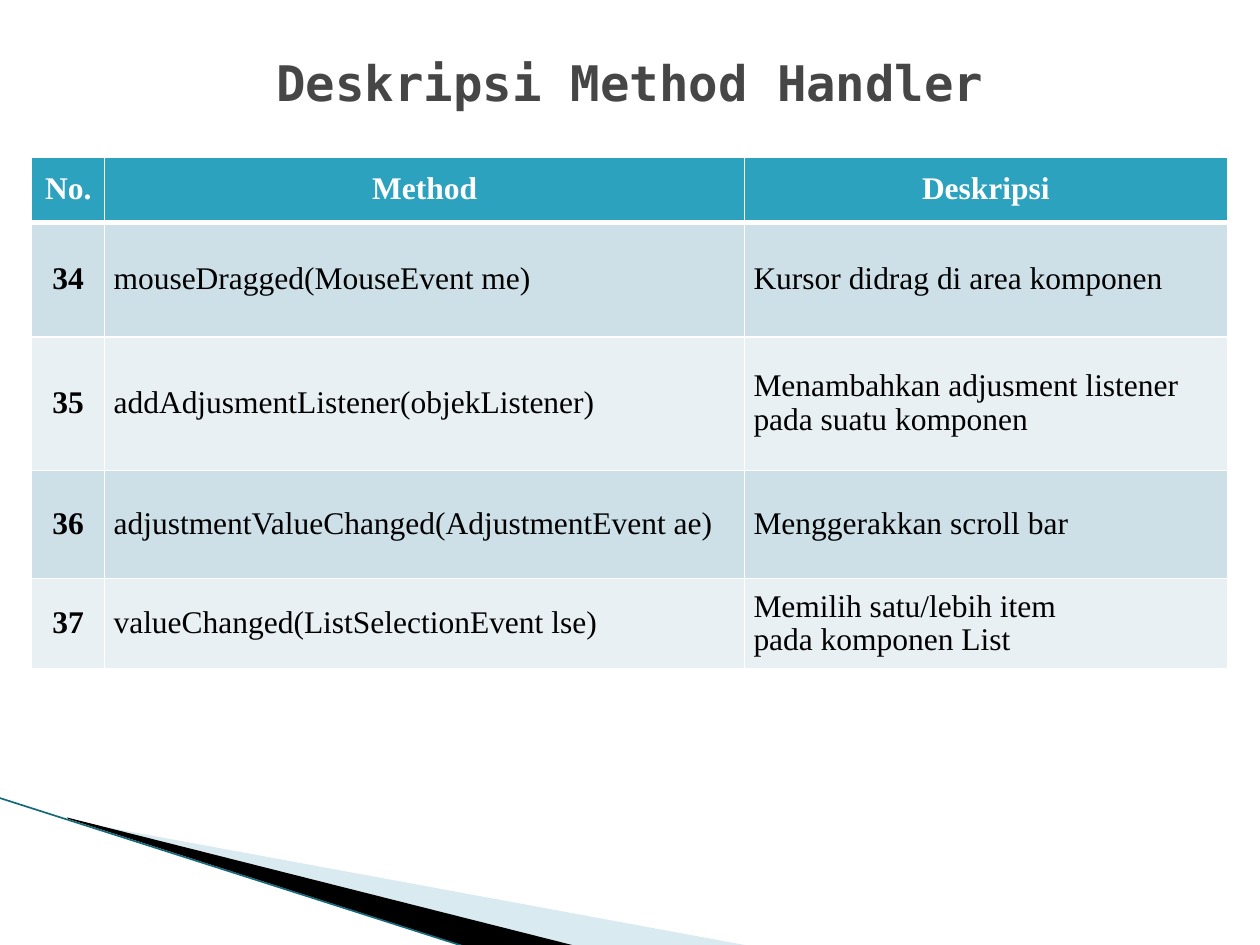
from pptx import Presentation
from pptx.dml.color import RGBColor
from pptx.enum import shapes, text
from pptx.oxml import parse_xml
from pptx.oxml.ns import nsdecls, qn
from pptx.util import Cm, Pt

WHITE = RGBColor(0xFF, 0xFF, 0xFF)
BLACK = RGBColor(0, 0, 0)
GREY = RGBColor(0x46, 0x46, 0x46)
TEAL = RGBColor(0x2D, 0xA2, 0xBF)
DARK_TEAL = RGBColor(0x16, 0x69, 0x7A)
PALE_BLUE = RGBColor(0xA0, 0xCB, 0xDC)
BANDS = (RGBColor(0xCD, 0xE0, 0xE8), RGBColor(0xE8, 0xF0, 0xF4))

TITLE_FONT = "DejaVu Sans Mono"
BODY_FONT = "Times New Roman"

COLUMNS = (1.47, 12.9, 9.73)
ROWS = (1.3, 2.31, 2.69, 2.18, 1.83)
METHODS = (
    ("No.", "Method", "Deskripsi"),
    ("34", "mouseDragged(MouseEvent me)", "Kursor didrag di area komponen"),
    ("35", "addAdjusmentListener(objekListener)",
     "Menambahkan adjusment listener pada suatu komponen"),
    ("36", "adjustmentValueChanged(AdjustmentEvent ae)", "Menggerakkan scroll bar"),
    ("37", "valueChanged(ListSelectionEvent lse)",
     "Memilih satu/lebih item\npada komponen List"),
)


def add_span(para, words, font, size, colour, bold):
    span = para.add_run()
    span.text = words
    span.font.name = font
    span.font.size = Pt(size)
    span.font.color.rgb = colour
    span.font.bold = bold


def add_wedge(page, left, top, points, colour, opacity=100):
    """Filled outline; points are in cm from the left top corner."""
    corners = [(Cm(left + x), Cm(top + y)) for x, y in points]
    builder = page.shapes.build_freeform(*corners[0], scale=1.0)
    builder.add_line_segments(corners[1:], close=True)
    wedge = builder.convert_to_shape()
    wedge.shadow.inherit = False
    wedge.fill.solid()
    wedge.fill.fore_color.rgb = colour
    wedge.line.fill.background()
    if opacity < 100:
        shade = wedge.fill._xPr.find(".//" + qn("a:srgbClr"))
        shade.append(parse_xml(f'<a:alpha {nsdecls("a")} val="{opacity * 1000}"/>'))


def add_corner(page, left, top):
    # Pale and black wedges
    add_wedge(page, left + 1.4, top + 0.43,
              ((0, 0.03), (13.72, 2.56), (10.18, 2.56), (0, 0)), PALE_BLUE, 40)
    add_wedge(page, left + 1.35, top + 0.4,
              ((0, 0), (10.26, 2.59), (8.1, 2.62), (0.03, 0.03)), BLACK)
    # Edge line
    edge = page.shapes.add_connector(
        shapes.MSO_CONNECTOR.STRAIGHT,
        Cm(left - 0.03), Cm(top), Cm(left + 9.42), Cm(top + 3.02))
    edge.line.color.rgb = DARK_TEAL
    edge.line.width = Pt(0.95)
    edge._element.spPr.append(parse_xml(f'<a:effectLst {nsdecls("a")}/>'))


def add_title(page, left, top, width, height):
    box = page.shapes.add_textbox(Cm(left), Cm(top), Cm(width), Cm(height))
    frame = box.text_frame
    frame.word_wrap = True
    frame.vertical_anchor = text.MSO_ANCHOR.MIDDLE
    para = frame.paragraphs[0]
    para.alignment = text.PP_ALIGN.CENTER
    add_span(para, "Deskripsi Method Handler", TITLE_FONT, 28, GREY, True)


def set_borders(cell, bottom, top):
    properties = cell._tc.get_or_add_tcPr()
    widths = (("lnL", 1), ("lnR", 1), ("lnT", top), ("lnB", bottom))
    for place, (side, width) in enumerate(widths):
        properties.insert(place, parse_xml(
            f'<a:{side} {nsdecls("a")} w="{Pt(width)}"><a:solidFill>'
            f'<a:srgbClr val="{WHITE}"/></a:solidFill></a:{side}>'))


def fill_cell(cell, words, row, column):
    header = row == 0
    cell.fill.solid()
    cell.fill.fore_color.rgb = TEAL if header else BANDS[(row - 1) % 2]
    set_borders(cell, bottom=3 if header else 1, top=3 if row == 1 else 1)
    cell.vertical_anchor = text.MSO_ANCHOR.MIDDLE
    cell.margin_left = cell.margin_right = Cm(0.18)
    cell.margin_top = cell.margin_bottom = 0
    frame = cell.text_frame
    for number, line in enumerate(words.split("\n")):
        para = frame.add_paragraph() if number else frame.paragraphs[0]
        centred = header or column == 0
        para.alignment = text.PP_ALIGN.CENTER if centred else text.PP_ALIGN.LEFT
        para.line_spacing = 0.95
        add_span(para, line, BODY_FONT, 18, WHITE if header else BLACK, centred)


def add_methods(page, left, top):
    table = page.shapes.add_table(
        len(ROWS), len(COLUMNS), Cm(left), Cm(top),
        Cm(sum(COLUMNS)), Cm(sum(ROWS))).table
    for column, width in zip(table.columns, COLUMNS):
        column.width = Cm(width)
    for row, height in zip(table.rows, ROWS):
        row.height = Cm(height)
    for row, entries in enumerate(METHODS):
        for column, words in enumerate(entries):
            fill_cell(table.cell(row, column), words, row, column)


def main():
    deck = Presentation()
    deck.slide_width, deck.slide_height = Cm(25.4), Cm(19.05)
    page = deck.slides.add_slide(deck.slide_layouts[6])
    add_corner(page, 0, 16.08)
    add_methods(page, 0.64, 3.18)
    add_title(page, 1.27, 0.76, 22.86, 1.78)
    deck.save("out.pptx")


if __name__ == "__main__":
    main()
